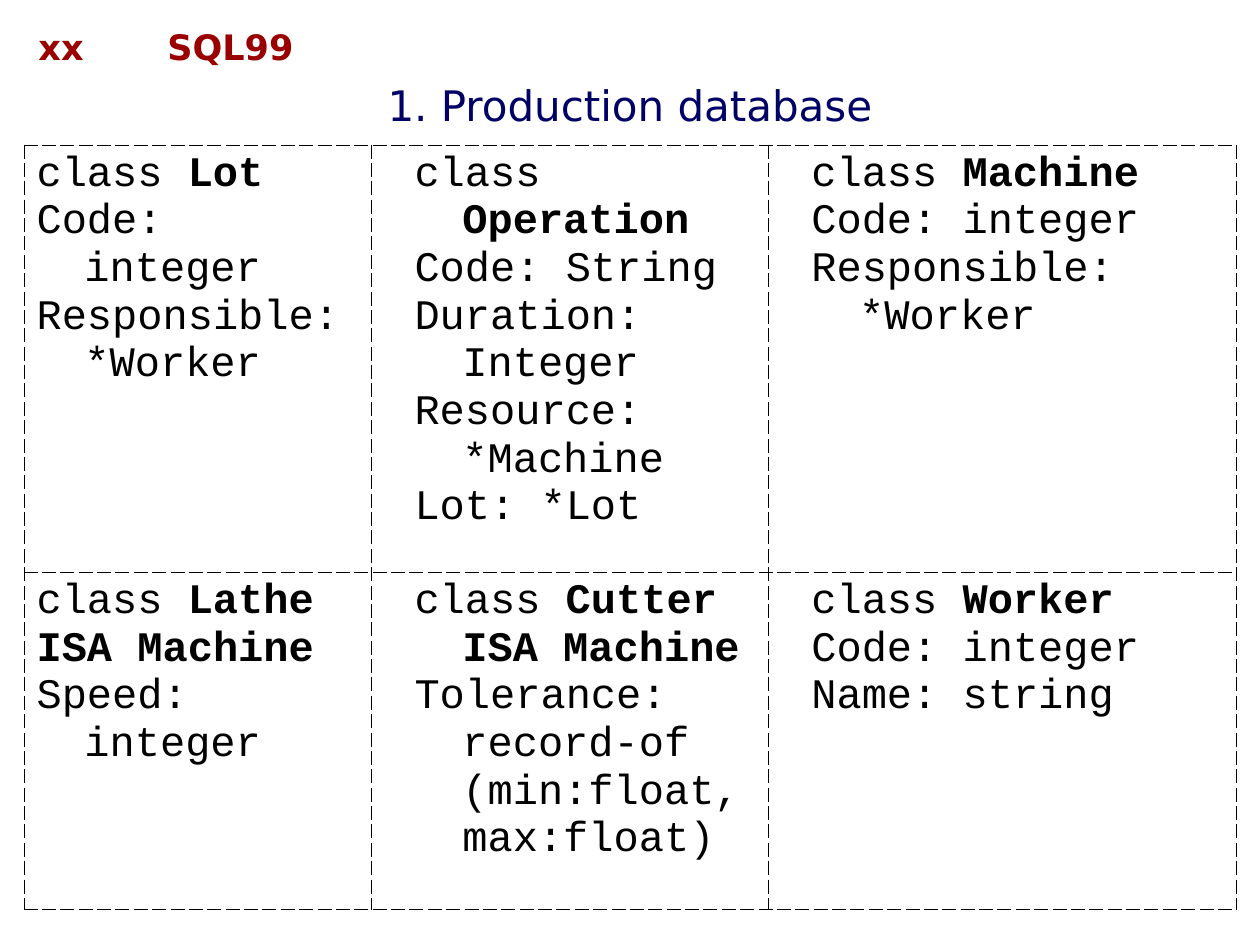
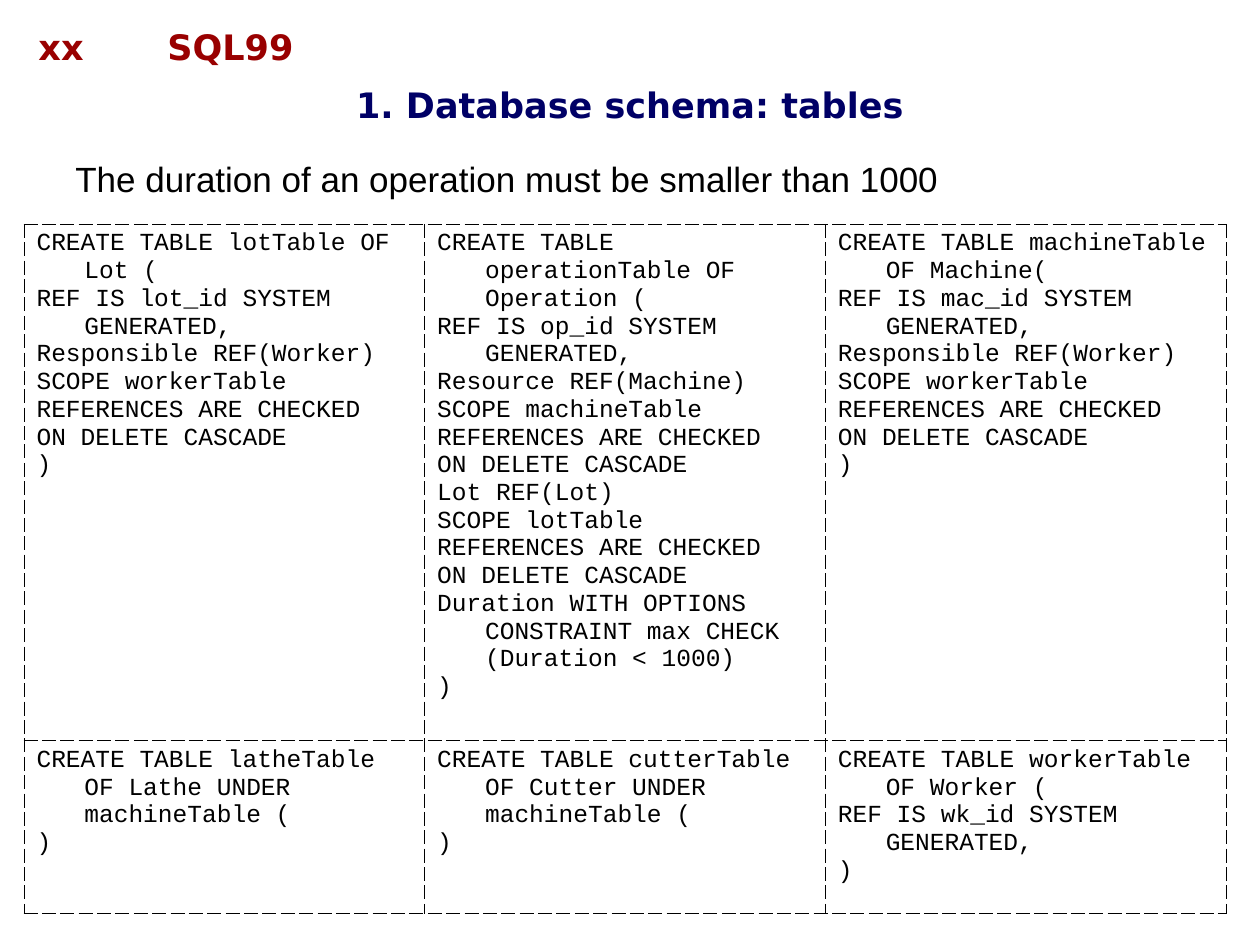
from lxml import etree
from pptx import Presentation
from pptx import util as u
from pptx.dml.color import RGBColor
from pptx.enum import text as t
from pptx.oxml import ns

# Content: "|" starts the bold part of a line, None is a spacer column
HEAD = [("xx", 0.13, 0.71, t.PP_ALIGN.CENTER), ("SQL99", 1.23, 8.51, t.PP_ALIGN.LEFT)]
CHECKED = ["REFERENCES ARE CHECKED", "ON DELETE CASCADE"]
WORKER = ["Responsible REF(Worker)", "SCOPE workerTable", *CHECKED, ")"]

CLASSES = [
    [
        ["class |Lot", "Code: integer", "Responsible: *Worker"],
        None,
        ["class |Operation", "Code: String", "Duration: Integer",
         "Resource: *Machine", "Lot: *Lot"],
        None,
        ["class |Machine", "Code: integer", "Responsible: *Worker"],
    ],
    [
        ["class |Lathe", "|ISA Machine", "Speed: integer"],
        None,
        ["class |Cutter ISA Machine", "Tolerance: record-of (min:float, max:float)"],
        None,
        ["class |Worker", "Code: integer", "Name: string"],
    ],
]
TABLES = [
    [
        ["CREATE TABLE lotTable OF Lot (", "REF IS lot_id SYSTEM GENERATED,", *WORKER],
        ["CREATE TABLE operationTable OF Operation (", "REF IS op_id SYSTEM GENERATED,",
         "Resource REF(Machine)", "SCOPE machineTable", *CHECKED,
         "Lot REF(Lot)", "SCOPE lotTable", *CHECKED,
         "Duration WITH OPTIONS CONSTRAINT max CHECK (Duration < 1000)", ")"],
        ["CREATE TABLE machineTable OF Machine(", "REF IS mac_id SYSTEM GENERATED,", *WORKER],
    ],
    [
        ["CREATE TABLE latheTable OF Lathe UNDER machineTable (", ")"],
        ["CREATE TABLE cutterTable OF Cutter UNDER machineTable (", ")"],
        ["CREATE TABLE workerTable OF Worker (", "REF IS wk_id SYSTEM GENERATED,", ")"],
    ],
]
SLIDES = [
    dict(title="1. Production database", look="title", grid=CLASSES, top=1.15,
         cols=[2.76, 0.24, 2.91, 0.24, 3.47], rows=[3.39, 2.68], code="class"),
    dict(title="1. Database schema: tables", look="strong", grid=TABLES, top=1.78,
         cols=[3.18] * 3, rows=[4.1, 1.37], code="sql",
         note="The duration of an operation must be smaller than 1000"),
]

# Shared looks
INK = dict(head="990000", title="000066", text="000000")
LOOKS = dict(
    head=dict(name="DejaVu Sans", size=20, bold=True, ink="head"),
    title=dict(name="DejaVu Sans", size=24, bold=False, ink="title"),
    strong=dict(name="DejaVu Sans", size=20, bold=True, ink="title"),
    note=dict(name="Arial", size=20, bold=False, ink="text"),
    sql=dict(name="Courier New", size=14, bold=False, ink="text"),
)
LOOKS["class"] = dict(LOOKS["sql"], size=24)
LEFT, HANG, LINE = 0.19, 0.38, 0.45


def style(font, look, **more):
    for key, val in {**LOOKS[look], **more}.items():
        if key == "ink":
            font.color.rgb = RGBColor.from_string(INK[val])
        else:
            setattr(font, key, u.Pt(val) if key == "size" else val)


def write(par, words, look):
    for part, bold in zip(words.split("|"), (False, True)):
        if part:
            run = par.add_run()
            run.text = part
            style(run.font, look, **({"bold": True} if bold else {}))


def label(slide, words, left, top, width, look, align=t.PP_ALIGN.LEFT):
    box = slide.shapes.add_textbox(*map(u.Inches, (left, top, width, 0.44)))
    box.text_frame.word_wrap = True
    par = box.text_frame.paragraphs[0]
    par.alignment = align
    write(par, words, look)
    return box


def border(cell, sides):
    props = cell._tc.get_or_add_tcPr()
    for side in "LRTB":
        line = etree.SubElement(props, ns.qn("a:ln" + side), w=str(u.Pt(LINE)))
        if side in sides:
            fill = etree.SubElement(line, ns.qn("a:solidFill"))
            etree.SubElement(fill, ns.qn("a:srgbClr"), val=INK["text"])
            etree.SubElement(line, ns.qn("a:prstDash"), val="dash")
        else:
            etree.SubElement(line, ns.qn("a:noFill"))
    cell.fill.background()


def table(slide, grid, top, cols, rows, look):
    size = map(u.Inches, (LEFT, top, sum(cols), sum(rows)))
    tab = slide.shapes.add_table(len(rows), len(cols), *size).table
    tab.first_row = tab.horz_banding = False
    for col, width in zip(tab.columns, cols):
        col.width = u.Inches(width)
    for row, high, cells in zip(tab.rows, rows, grid):
        row.height = u.Inches(high)
        for n, (cell, lines) in enumerate(zip(row.cells, cells)):
            # A spacer column is open towards the text on its right
            sides = "LTB" if lines is None else "LRTB"
            if n and cells[n - 1] is None:
                sides = "RTB"
            border(cell, sides)
            for k, words in enumerate(lines or []):
                frame = cell.text_frame
                par = frame.add_paragraph() if k else frame.paragraphs[0]
                props = par._p.get_or_add_pPr()
                props.set("marL", str(u.Inches(HANG)))
                props.set("indent", str(-u.Inches(HANG)))
                write(par, words, look)


def title(slide, words, look):
    shape = slide.shapes.title
    place = dict(left=0, top=0.68, width=10, height=0.3)
    for key, val in place.items():
        setattr(shape, key, u.Inches(val))
    frame = shape.text_frame
    form = dict(auto_size=t.MSO_AUTO_SIZE.NONE, word_wrap=True,
                vertical_anchor=t.MSO_ANCHOR.MIDDLE)
    for key, val in form.items():
        setattr(frame, key, val)
    frame.paragraphs[0].alignment = t.PP_ALIGN.CENTER
    write(frame.paragraphs[0], words, look)


def header(slide, base):
    """Put the running header on the layout that all slides use."""
    for n, (words, left, width, align) in enumerate(HEAD):
        item = label(slide, words, left, 0.15, width, "head", align)._element
        item.nvSpPr.cNvPr.set("id", str(100 + n))
        base.shapes._spTree.append(item)


def main():
    prs = Presentation()
    prs.slide_width, prs.slide_height = u.Inches(10), u.Inches(7.5)
    base = prs.slide_layouts[5]
    for n, page in enumerate(SLIDES):
        slide = prs.slides.add_slide(base)
        if n == 0:
            header(slide, base)
        title(slide, page["title"], page["look"])
        table(slide, page["grid"], page["top"], page["cols"], page["rows"], page["code"])
        if "note" in page:
            label(slide, page["note"], 0.5, 1.2, 7.2, "note")
    prs.save("out.pptx")


if __name__ == "__main__":
    main()
